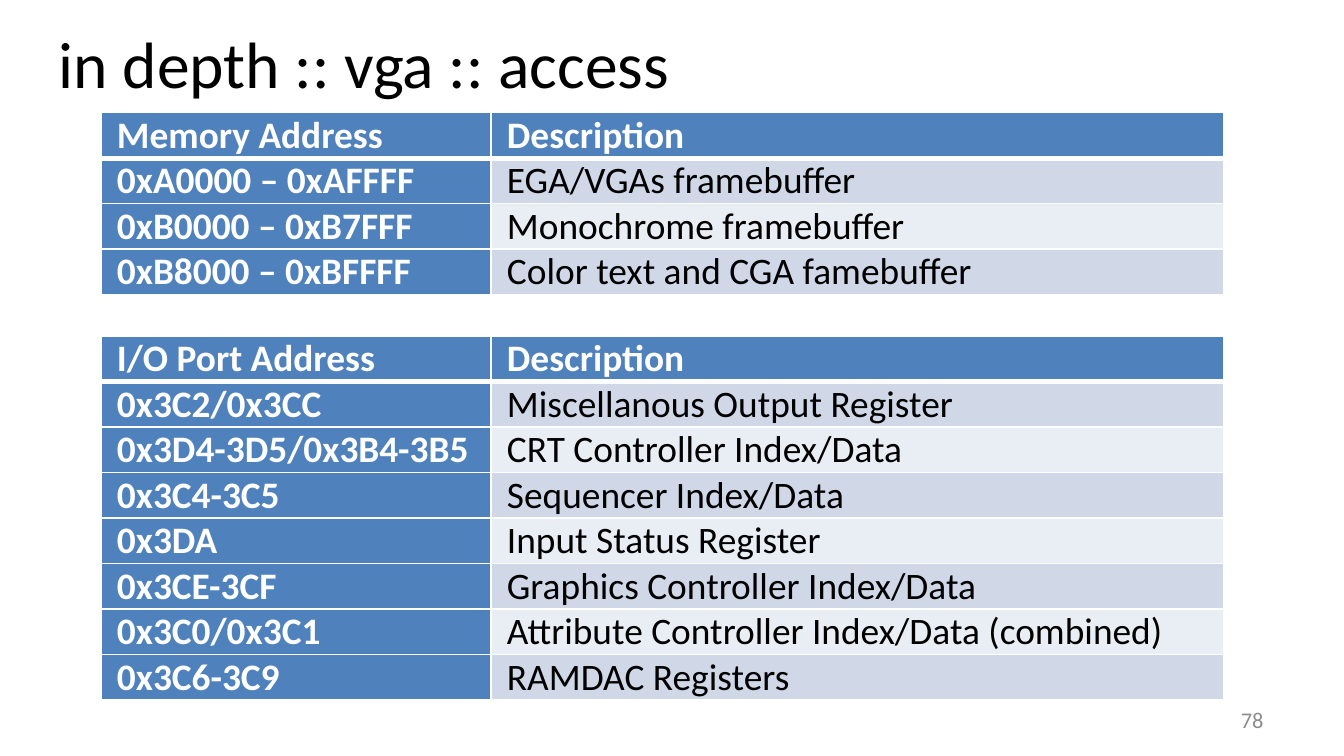
from dataclasses import dataclass

import pptx
import pptx.dml.color
import pptx.enum.text
import pptx.oxml
import pptx.oxml.ns
import pptx.util
from pptx.util import Cm

ALIGN = pptx.enum.text.PP_ALIGN
MIDDLE = pptx.enum.text.MSO_ANCHOR.MIDDLE


@dataclass(frozen=True)
class Theme:
    font: str = "Calibri"
    black: str = "000000"
    white: str = "FFFFFF"
    grey: str = "8C8C8C"
    blue: str = "4F81BD"
    bands: tuple[str, str] = ("D0D8E8", "E9EDF4")
    title_size: float = 35.1
    table_size: float = 20
    number_size: float = 12
    thin: float = 1
    thick: float = 3


@dataclass(frozen=True)
class Label:
    text: str
    left: float
    top: float
    width: float
    height: float
    size: float
    color: str
    align: ALIGN


@dataclass(frozen=True)
class AddressTable:
    heading: str
    top: float
    entries: tuple[tuple[str, str], ...]


THEME = Theme()
TABLE_LEFT = 1.91
COLUMN_WIDTHS = (7.37, 13.84)
ROW_HEIGHT = 0.86
CELL_MARGINS = {"margin_left": Cm(0.3), "margin_right": Cm(0.3),
                "margin_top": 0, "margin_bottom": 0}

LABELS = (
    Label("in depth :: vga :: access", 0.86, 0.23, 22.83, 1.9,
          THEME.title_size, THEME.black, ALIGN.LEFT),
    Label("78", 18.21, 13.23, 5.92, 0.76,
          THEME.number_size, THEME.grey, ALIGN.RIGHT),
)

TABLES = (
    AddressTable("Memory Address", 2.13, (
        ("0xA0000 – 0xAFFFF", "EGA/VGAs framebuffer"),
        ("0xB0000 – 0xB7FFF", "Monochrome framebuffer"),
        ("0xB8000 – 0xBFFFF", "Color text and CGA famebuffer"),
    )),
    AddressTable("I/O Port Address", 6.35, (
        ("0x3C2/0x3CC", "Miscellanous Output Register"),
        ("0x3D4-3D5/0x3B4-3B5", "CRT Controller Index/Data"),
        ("0x3C4-3C5", "Sequencer Index/Data"),
        ("0x3DA", "Input Status Register"),
        ("0x3CE-3CF", "Graphics Controller Index/Data"),
        ("0x3C0/0x3C1", "Attribute Controller Index/Data (combined)"),
        ("0x3C6-3C9", "RAMDAC Registers"),
    )),
)


def set_attributes(target: object, values: dict) -> None:
    for name, value in values.items():
        setattr(target, name, value)


def write(tf, text: str, size: float, color: str, align: ALIGN, bold: bool = False) -> None:
    p = tf.paragraphs[0]
    p.alignment = align
    r = p.add_run()
    r.text = text
    set_attributes(r.font, {"name": THEME.font, "size": pptx.util.Pt(size), "bold": bold})
    r.font.color.rgb = pptx.dml.color.RGBColor.from_string(color)


def add_label(s, label: Label) -> None:
    sp = s.shapes.add_textbox(Cm(label.left), Cm(label.top), Cm(label.width), Cm(label.height))
    set_attributes(sp.text_frame, {"word_wrap": True, "vertical_anchor": MIDDLE})
    write(sp.text_frame, label.text, label.size, label.color, label.align)


def add_borders(cell, row: int) -> None:
    """Thin white borders, with a thick rule between the header and the body."""
    widths = {"L": THEME.thin, "R": THEME.thin,
              "T": THEME.thick if row == 1 else THEME.thin,
              "B": THEME.thick if row == 0 else THEME.thin}
    for side, width in widths.items():
        cell._tc.get_or_add_tcPr().append(pptx.oxml.parse_xml(
            f'<a:ln{side} {pptx.oxml.ns.nsdecls("a")} w="{pptx.util.Pt(width)}">'
            f'<a:solidFill><a:srgbClr val="{THEME.white}"/></a:solidFill></a:ln{side}>'))


def add_address_table(s, spec_table: AddressTable) -> None:
    rows = ((spec_table.heading, "Description"), *spec_table.entries)
    table = s.shapes.add_table(
        len(rows), len(COLUMN_WIDTHS), Cm(TABLE_LEFT), Cm(spec_table.top),
        Cm(sum(COLUMN_WIDTHS)), Cm(ROW_HEIGHT * len(rows))).table
    table.horz_banding = False
    for column, width in zip(table.columns, COLUMN_WIDTHS):
        column.width = Cm(width)
    for i, texts in enumerate(rows):
        table.rows[i].height = Cm(ROW_HEIGHT)
        for j, text in enumerate(texts):
            cell = table.cell(i, j)
            strong = i == 0 or j == 0
            fill = THEME.blue if strong else THEME.bands[(i - 1) % 2]
            set_attributes(cell, CELL_MARGINS)
            add_borders(cell, i)
            cell.fill.solid()
            cell.fill.fore_color.rgb = pptx.dml.color.RGBColor.from_string(fill)
            write(cell.text_frame, text, THEME.table_size,
                  THEME.white if strong else THEME.black, ALIGN.JUSTIFY, strong)


def main() -> None:
    prs = pptx.Presentation()
    set_attributes(prs, {"slide_width": Cm(25.4), "slide_height": Cm(14.29)})
    s = prs.slides.add_slide(prs.slide_layouts[6])

    # Title and slide number
    for label in LABELS:
        add_label(s, label)

    # Memory and port address tables
    for address_table in TABLES:
        add_address_table(s, address_table)

    prs.save("out.pptx")


if __name__ == "__main__":
    main()
